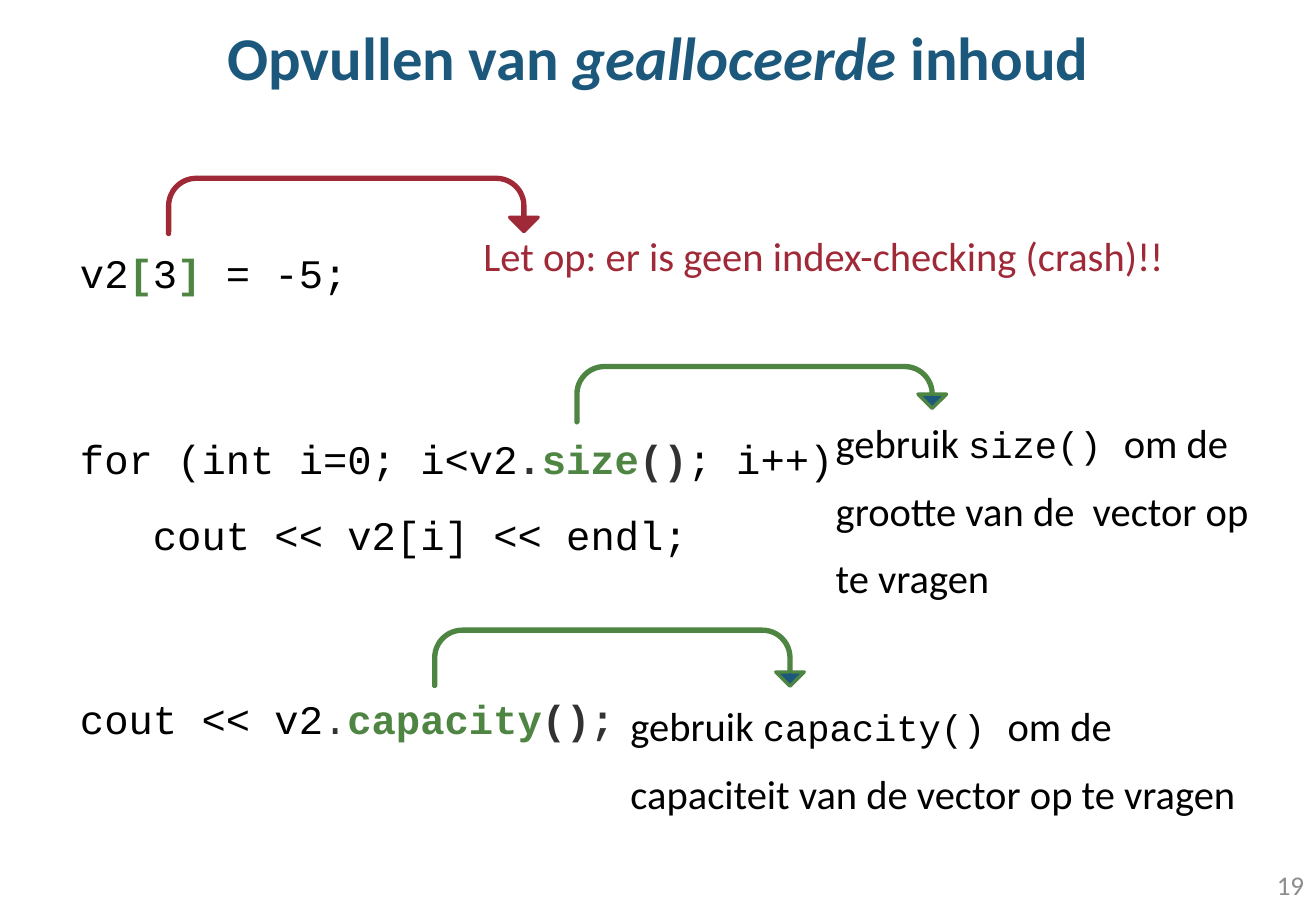
from dataclasses import dataclass
from typing import NamedTuple

from pptx import Presentation
from pptx.dml.color import RGBColor
from pptx.enum.shapes import MSO_SHAPE as Preset
from pptx.enum.text import MSO_ANCHOR as Anchor, PP_ALIGN as Align
from pptx.util import Inches, Pt


@dataclass(frozen=True)
class Theme:
    blue = RGBColor.from_string("1B587C")
    red = RGBColor.from_string("9F2936")
    green = RGBColor.from_string("4E8542")
    dark = RGBColor.from_string("323232")
    black = RGBColor.from_string("000000")
    gray = RGBColor.from_string("8C8C8C")
    prose = "Calibri"
    mono = "Courier New"
    title_size = Pt(36)
    text_size = Pt(24)
    inline_code_size = Pt(22)
    number_size = Pt(16)
    leading = Pt(40)
    line_gap = Pt(4.8)
    arrow_line = Pt(2)


THEME = Theme()
SLIDE_W, SLIDE_H = Inches(10.83), Inches(7.5)
COLUMN, ROW = SLIDE_W / 100, SLIDE_H / 100

CODE = dict(name=THEME.mono, size=THEME.text_size, bold=False)
PLAIN = CODE | {"color": THEME.black}
KEY = CODE | {"color": THEME.green, "bold": True}
DARK = CODE | {"color": THEME.dark, "bold": True}
PROSE = dict(name=THEME.prose, size=THEME.text_size, color=THEME.black)
WARNING = PROSE | {"color": THEME.red}
INLINE = PROSE | {"name": THEME.mono, "size": THEME.inline_code_size}
TITLE = dict(name=THEME.prose, size=THEME.title_size, color=THEME.blue, bold=True)
NUMBER = dict(name=THEME.prose, size=THEME.number_size, color=THEME.gray)


class Box(NamedTuple):
    """A rectangle in hundredths of the slide's width and height."""
    left: float
    top: float
    width: float
    height: float

    def inside(self, left, top, width, height):
        return Box(self.left + left, self.top + top, width, height)

    def lengths(self):
        return [round(share * unit) for share, unit in zip(self, (COLUMN, ROW) * 2)]


def write_paragraph(paragraph, pieces, **layout):
    for attribute, value in layout.items():
        setattr(paragraph, attribute, value)
    for words, style in pieces:
        run = paragraph.add_run()
        run.text = words
        for attribute, value in style.items():
            if attribute == "color":
                run.font.color.rgb = value
            else:
                setattr(run.font, attribute, value)


def add_text(slide, box, lines, wrap=True, anchor=Anchor.TOP, **layout):
    frame = slide.shapes.add_textbox(*box.lengths()).text_frame
    frame.word_wrap = wrap
    frame.vertical_anchor = anchor
    for index, pieces in enumerate(lines):
        paragraph = frame.add_paragraph() if index else frame.paragraphs[0]
        if index:
            paragraph.space_before = THEME.line_gap
        write_paragraph(paragraph, pieces, **layout)


def add_title(slide, box, pieces):
    title = slide.shapes.title
    title.left, title.top, title.width, title.height = box.lengths()
    title.text_frame.vertical_anchor = Anchor.MIDDLE
    write_paragraph(title.text_frame.paragraphs[0], pieces, alignment=Align.CENTER)


def add_arrow(slide, box, fill, line, reach):
    """Draw a U-turn arrow; reach is how far down its head comes."""
    arrow = slide.shapes.add_shape(Preset.U_TURN_ARROW, *box.lengths())
    for index, value in enumerate((0.034, 0.25, 0.25, 0.5, reach)):
        arrow.adjustments[index] = value
    arrow.shadow.inherit = False
    arrow.fill.solid()
    arrow.fill.fore_color.rgb = fill
    arrow.line.color.rgb = line
    arrow.line.width = THEME.arrow_line


def add_example(slide, box, code, code_top, remark, remark_place, arrow_left,
                reach, fill=THEME.blue, line=THEME.green, leading=None, remark_leading=THEME.leading):
    """Place code, its remark and the arrow from one to the other in a band."""
    add_text(slide, box.inside(5.17, code_top, 60, 6.67), code, wrap=False,
             line_spacing=leading)
    add_text(slide, box.inside(*remark_place), [remark], line_spacing=remark_leading)
    add_arrow(slide, box.inside(arrow_left, 0, 28.16, 6.27), fill, line, reach)


def add_page_number(slide, box, number):
    add_text(slide, box, [[(number, NUMBER)]], anchor=Anchor.MIDDLE,
             alignment=Align.RIGHT)


def main():
    deck = Presentation()
    deck.slide_width, deck.slide_height = SLIDE_W, SLIDE_H
    slide = deck.slides.add_slide(deck.slide_layouts[5])

    add_title(slide, Box(0, 0, 100, 12.4), [
        ("Opvullen van ", TITLE),
        ("gealloceerde ", TITLE | {"italic": True}),
        ("inhoud", TITLE)])

    add_example(
        slide, Box(0, 19.47, 100, 12),
        code=[[("v2", PLAIN), ("[", KEY), ("3", PLAIN), ("]", KEY), (" = -5;", PLAIN)]],
        code_top=7.07,
        remark=[("Let op: er is geen index-checking (crash)!!", WARNING)],
        remark_place=(35.83, 5.2, 64.17, 6.67), arrow_left=12.74, reach=0.95,
        fill=THEME.red, line=THEME.red, remark_leading=None)

    add_example(
        slide, Box(0, 40.13, 100, 27),
        code=[[("for (int i=0; i<v2", PLAIN), (".", DARK), ("size", KEY),
               ("()", DARK), ("; i++)", PLAIN)],
              [("   cout << v2[i] << endl;", PLAIN)]],
        code_top=4.8, leading=THEME.leading,
        remark=[("gebruik ", PROSE), ("size() ", INLINE),
                ("om de grootte van de  vector op te vragen", PROSE)],
        remark_place=(62.6, 3.07, 35.64, 23.73), arrow_left=43.77, reach=0.75)

    add_example(
        slide, Box(0, 69.07, 100, 22),
        code=[[("cout << v2", PLAIN), (".", DARK | {"bold": False}),
               ("capacity", KEY), ("();", DARK)]],
        code_top=6.4,
        remark=[("gebruik ", PROSE), ("capacity() ", INLINE),
                ("om de capaciteit van de vector op te vragen", PROSE)],
        remark_place=(47, 5.2, 49.77, 16.27), arrow_left=32.96, reach=1)

    add_page_number(slide, Box(76.73, 94.4, 23.27, 5.33), "19")
    deck.save("out.pptx")


if __name__ == "__main__":
    main()
